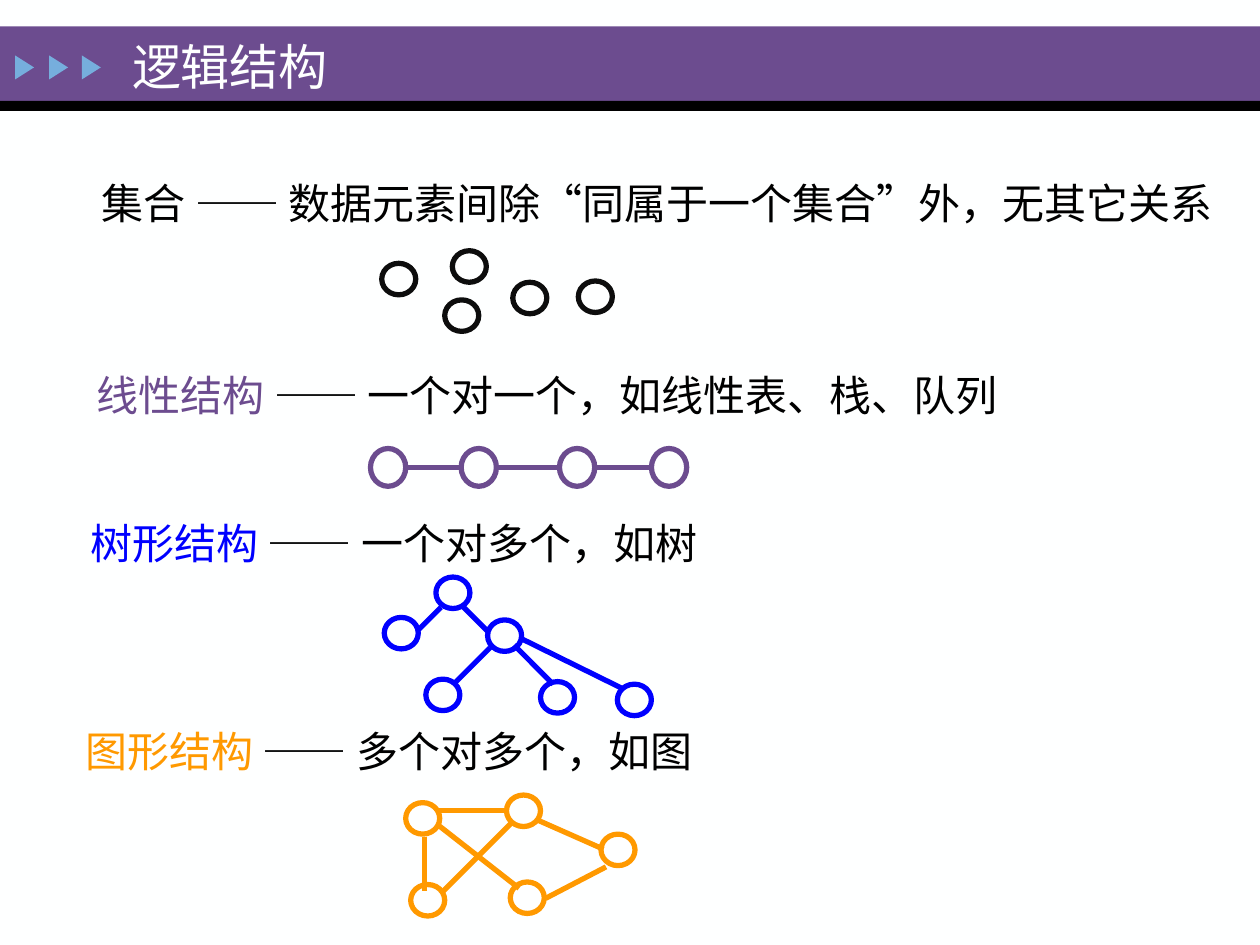
from dataclasses import dataclass

from lxml.etree import SubElement
from pptx import Presentation
from pptx.dml.color import RGBColor
from pptx.enum.lang import MSO_LANGUAGE_ID
from pptx.enum.shapes import MSO_CONNECTOR, MSO_SHAPE
from pptx.enum.text import MSO_ANCHOR, MSO_AUTO_SIZE
from pptx.oxml.ns import qn
from pptx.slide import Slide
from pptx.util import Inches, Pt

WHITE, BLACK, PURPLE = "FEFFFF", "000000", "6C4C8F"
BLUE, ORANGE, SKY, INK = "0000FF", "FF9900", "76AEDD", "0D0D0D"


def rgb(value):
    return RGBColor.from_string(value)


def add_run(p, text, size=24, color=BLACK, font="Times New Roman"):
    r = p.add_run()
    r.text = text
    r.font.size = Pt(size)
    r.font.name = font
    r.font.color.rgb = rgb(color)
    r.font.language_id = MSO_LANGUAGE_ID.SIMPLIFIED_CHINESE


@dataclass
class Board:
    slide: Slide
    stroke: float = 3

    def shape(self, kind, x, y, w, h, fill=None, line=None):
        sp = self.slide.shapes.add_shape(
            kind, Inches(x), Inches(y), Inches(w), Inches(h))
        sp.shadow.inherit = False
        if fill:
            sp.fill.solid()
            sp.fill.fore_color.rgb = rgb(fill)
        else:
            sp.fill.background()
        if line:
            sp.line.color.rgb = rgb(line)
            sp.line.width = Pt(self.stroke)
        else:
            sp.line.fill.background()
        return sp

    def text(self, x, y, w, h, runs, size=24, wrap=False, anchor=MSO_ANCHOR.TOP):
        """Add a one-line text box; runs is a list of (text, colour)."""
        box = self.slide.shapes.add_textbox(
            Inches(x), Inches(y), Inches(w), Inches(h))
        tf = box.text_frame
        tf.word_wrap = wrap
        tf.auto_size = MSO_AUTO_SIZE.NONE if wrap else MSO_AUTO_SIZE.SHAPE_TO_FIT_TEXT
        tf.vertical_anchor = anchor
        for text, color in runs:
            add_run(tf.paragraphs[0], text, size=size, color=color)

    def edge(self, x1, y1, x2, y2, color):
        line = self.slide.shapes.add_connector(
            MSO_CONNECTOR.STRAIGHT, Inches(x1), Inches(y1), Inches(x2), Inches(y2))
        line.line.color.rgb = rgb(color)
        line.line.width = Pt(self.stroke)
        SubElement(line._element.spPr, qn("a:effectLst"))

    def graph(self, color, nodes, edges=(), size=(0.27, 0.25)):
        """Draw circles at the given top-left corners, then the edges."""
        for x, y in nodes:
            self.shape(MSO_SHAPE.OVAL, x, y, *size, line=color)
        for ends in edges:
            self.edge(*ends, color)


def main():
    prs = Presentation()
    prs.slide_width, prs.slide_height = Inches(10), Inches(7.5)
    s = prs.slides.add_slide(prs.slide_layouts[6])
    s.background.fill.solid()
    s.background.fill.fore_color.rgb = rgb(WHITE)
    board = Board(s)

    # Header
    board.shape(MSO_SHAPE.RECTANGLE, 0, 0.21, 10, 0.59, fill=PURPLE)
    board.shape(MSO_SHAPE.RECTANGLE, 0, 0.8, 10, 0.08, fill=BLACK)
    for x in (0.1, 0.37, 0.63):
        arrow = board.shape(MSO_SHAPE.ISOSCELES_TRIANGLE, x, 0.46, 0.19, 0.15, fill=SKY)
        arrow.rotation = 90
    board.text(0.95, 0.21, 2.57, 0.62, [("逻辑结构", WHITE)],
               size=28, wrap=True, anchor=MSO_ANCHOR.MIDDLE)

    # Names and definitions
    for x, y, w, name, color, meaning in (
        (0.71, 1.36, 9.12, "集合", BLACK, "数据元素间除“同属于一个集合”外，无其它关系"),
        (0.67, 2.88, 7.44, "线性结构", PURPLE, "一个对一个，如线性表、栈、队列"),
        (0.62, 4.06, 5.08, "树形结构", BLUE, "一个对多个，如树"),
        (0.58, 5.71, 5.08, "图形结构", ORANGE, "多个对多个，如图"),
    ):
        board.text(x, y, w, 0.51, [(f"{name} ", color), (f"—— {meaning}", BLACK)])

    # Set
    board.graph(INK, [(3.03, 2.09), (3.59, 1.99), (3.53, 2.38),
                      (4.07, 2.24), (4.59, 2.23)])

    # Linear list: each edge runs from one circle's right to the next one's left
    lefts, diameter = (2.94, 3.66, 4.44, 5.17), 0.28
    board.graph(PURPLE, [(x, 3.56) for x in lefts],
                [(a + diameter, 3.71, b, 3.71) for a, b in zip(lefts, lefts[1:])],
                size=(diameter, 0.3))

    # Tree
    board.graph(BLUE,
                [(3.46, 4.58), (3.05, 4.9), (3.87, 4.92),
                 (3.38, 5.39), (4.29, 5.41), (4.9, 5.43)],
                [(3.5, 4.82, 3.31, 5.01), (3.89, 5.14, 3.6, 5.43),
                 (3.66, 4.8, 3.87, 5.01), (4.08, 5.12, 4.39, 5.43),
                 (4.14, 5.07, 4.95, 5.47)])

    # Graph
    board.graph(ORANGE,
                [(4.02, 6.31), (3.26, 7.02), (4.05, 7), (4.77, 6.62), (3.22, 6.37)],
                [(3.37, 6.64, 3.37, 7.07), (3.48, 6.55, 4.12, 7.05),
                 (4.27, 6.51, 4.79, 6.74), (4.06, 6.53, 3.5, 7.09),
                 (4.81, 6.88, 4.33, 7.13), (3.48, 6.43, 4.02, 6.43)])

    prs.save("out.pptx")


if __name__ == "__main__":
    main()
